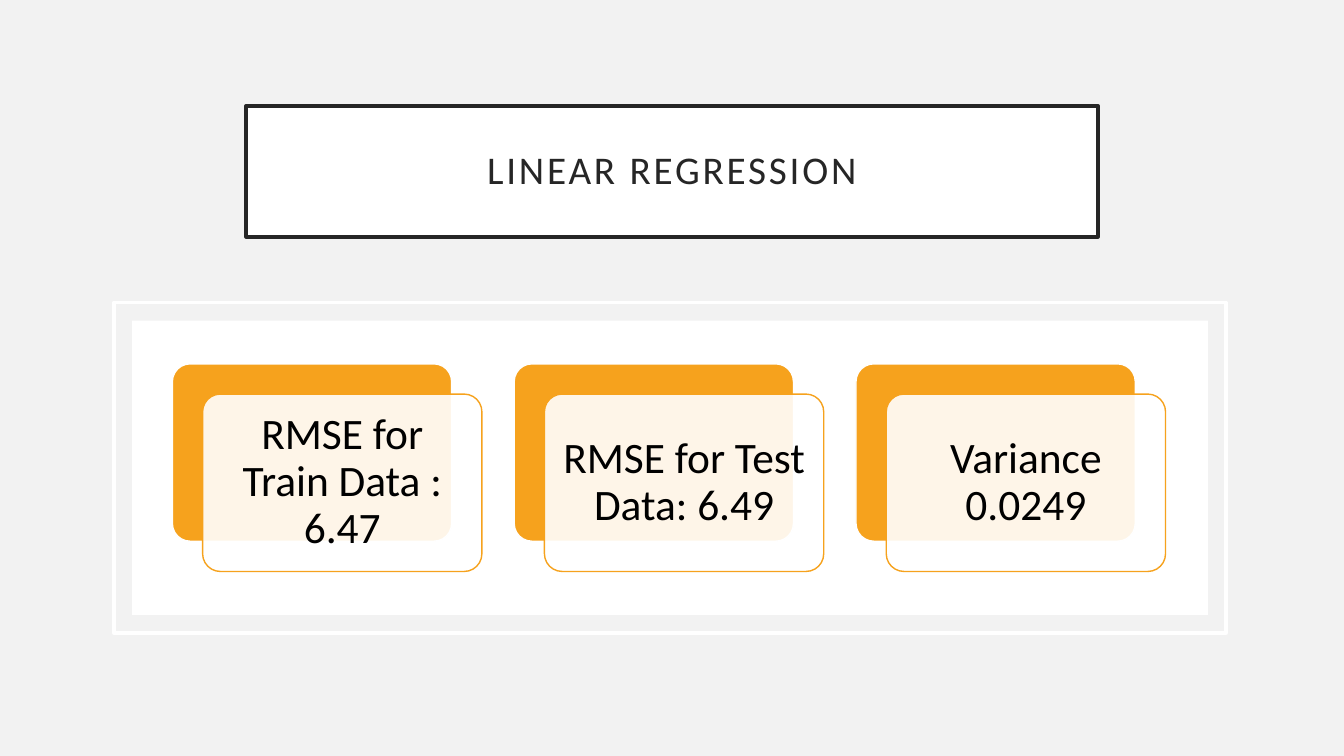
from lxml.etree import SubElement
from pptx import Presentation
from pptx.dml.color import RGBColor
from pptx.enum.shapes import MSO_SHAPE as Shape
from pptx.enum.text import MSO_ANCHOR as Anchor, MSO_AUTO_SIZE as AutoSize, PP_ALIGN as Align
from pptx.oxml.ns import qn
from pptx.util import Inches, Pt

WIDTH, HEIGHT = 13.33, 7.5
WHITE, PALE, DARK, ORANGE, BLACK = "FFFFFF", "F2F2F2", "262626", "F6A21D", "000000"
RESULTS = ["RMSE for Train Data : 6.47", "RMSE for Test Data: 6.49", "Variance 0.0249"]

# Card grid
FIRST_LEFT, CARD_TOP, PITCH = 1.71, 3.61, 3.39
CARD_WIDTH, CARD_HEIGHT = 2.77, 1.76
OFFSET, LABEL_GAP = 0.3, 0.05


def set_all(target, values):
    for name, value in values.items():
        setattr(target, name, value)


def paint(color_format, color):
    color_format.solid()
    color_format.fore_color.rgb = RGBColor.from_string(color)


def place(item, left, top, width, height):
    set_all(item, {"left": Inches(left), "top": Inches(top),
                   "width": Inches(width), "height": Inches(height)})


def style(box, fill=None, line=None, weight=1):
    if fill:
        paint(box.fill, fill)
    else:
        box.fill.background()
    if line:
        paint(box.line.fill, line)
        box.line.width = Pt(weight)
    else:
        box.line.fill.background()


def add_panel(shapes, area, kind=Shape.RECTANGLE, **look):
    box = shapes.add_shape(kind, *map(Inches, area))
    box.shadow.inherit = False
    if kind == Shape.ROUNDED_RECTANGLE:
        box.adjustments[0] = 0.1
    style(box, **look)
    return box


def set_opacity(box, percent):
    """Make the solid fill of a shape partly transparent."""
    color = box.fill._xPr.find(qn("a:solidFill"))[0]
    SubElement(color, qn("a:alpha"), val=str(percent * 1000))


def write(box, text, size, color, margin):
    frame = box.text_frame
    inset = Inches(margin)
    set_all(frame, {"text": text, "word_wrap": True, "auto_size": AutoSize.NONE,
                    "vertical_anchor": Anchor.MIDDLE, "margin_left": inset,
                    "margin_right": inset, "margin_top": inset, "margin_bottom": inset})
    para = frame.paragraphs[0]
    set_all(para, {"alignment": Align.CENTER, "line_spacing": 0.9})
    span = para.runs[0]
    set_all(span.font, {"name": "Calibri", "size": Pt(size)})
    paint(span.font.fill, color)
    return span


def add_title(page, text):
    title = page.shapes.title
    place(title, 2.44, 1.05, 8.45, 1.3)
    style(title, WHITE, DARK, 2.5)
    span = write(title, text, 28, DARK, 0.2)
    span.font._element.set("spc", "200")


def add_card(shapes, column, text):
    left = FIRST_LEFT + column * PITCH
    size = CARD_WIDTH, CARD_HEIGHT
    rounded = Shape.ROUNDED_RECTANGLE
    add_panel(shapes, (left, CARD_TOP, *size), rounded, fill=ORANGE, line=WHITE)
    front_left, front_top = left + OFFSET, CARD_TOP + OFFSET
    front = add_panel(shapes, (front_left, front_top, *size), rounded, fill=WHITE, line=ORANGE)
    set_opacity(front, 90)
    label = shapes.add_textbox(0, 0, 0, 0)
    place(label, front_left + LABEL_GAP, front_top + LABEL_GAP,
          CARD_WIDTH - 2 * LABEL_GAP, CARD_HEIGHT - 2 * LABEL_GAP)
    write(label, text, 31, BLACK, 0.13)


def main():
    deck = Presentation()
    set_all(deck, {"slide_width": Inches(WIDTH), "slide_height": Inches(HEIGHT)})
    page = deck.slides.add_slide(deck.slide_layouts[5])
    backdrop = add_panel(page.shapes, (0, 0, WIDTH, HEIGHT), fill=PALE)
    page.shapes.title._element.addprevious(backdrop._element)
    add_title(page, "LINEAR REGRESSION")
    add_panel(page.shapes, (1.13, 3, 11.03, 3.28), line=WHITE, weight=2.5)
    add_panel(page.shapes, (1.31, 3.18, 10.67, 2.92), fill=WHITE)
    cards = page.shapes.add_group_shape()
    for column, text in enumerate(RESULTS):
        add_card(cards.shapes, column, text)
    deck.save("out.pptx")


if __name__ == "__main__":
    main()
